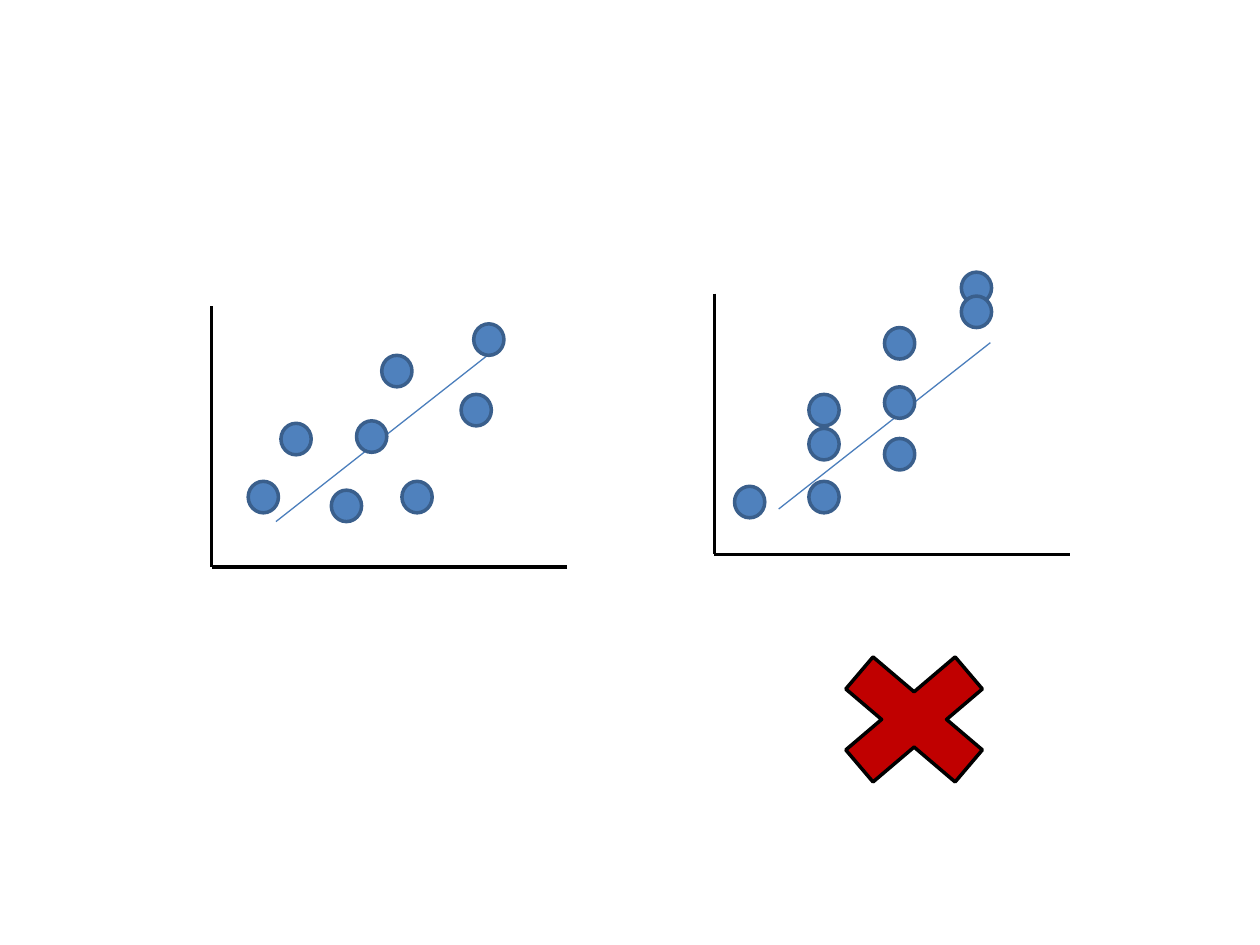
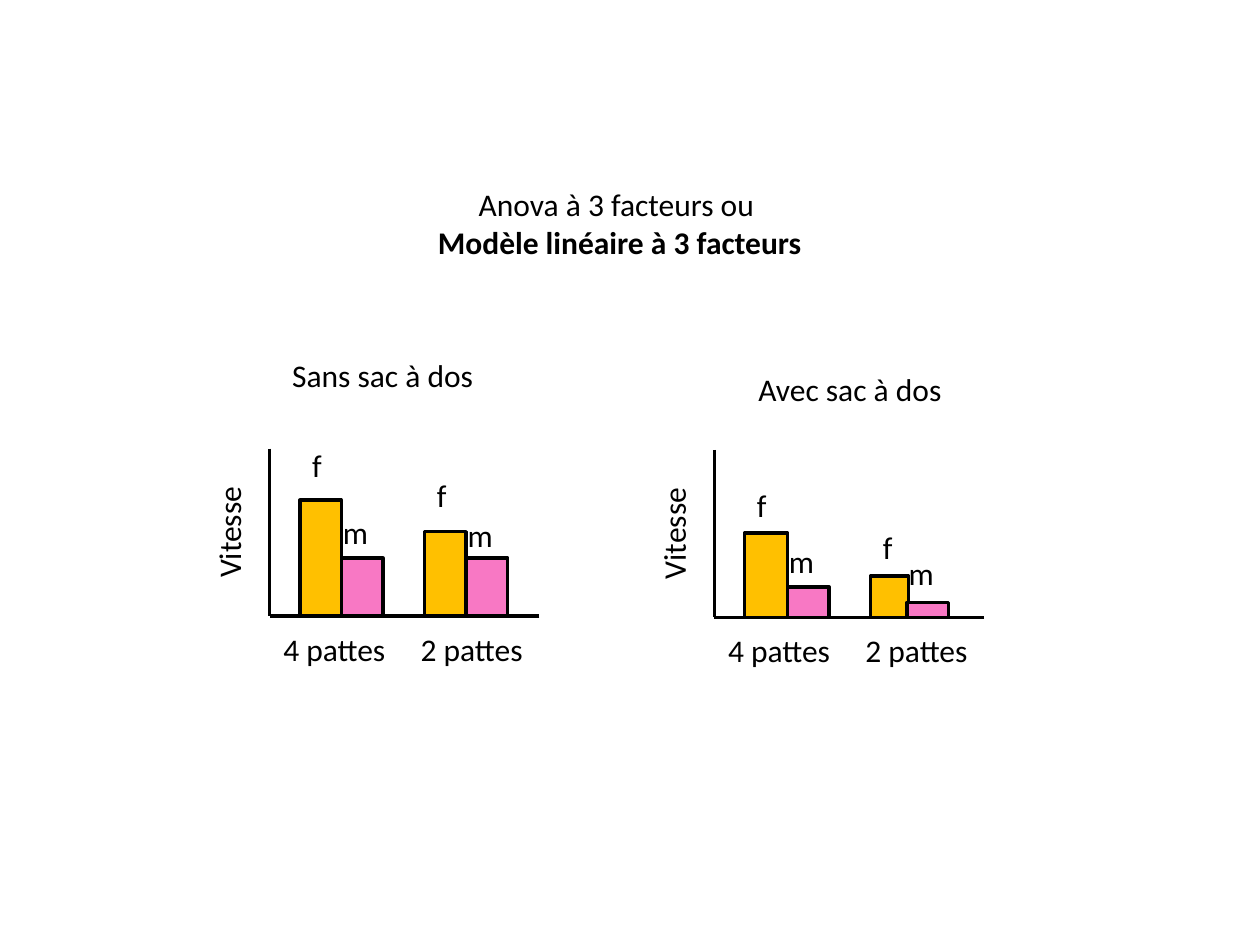
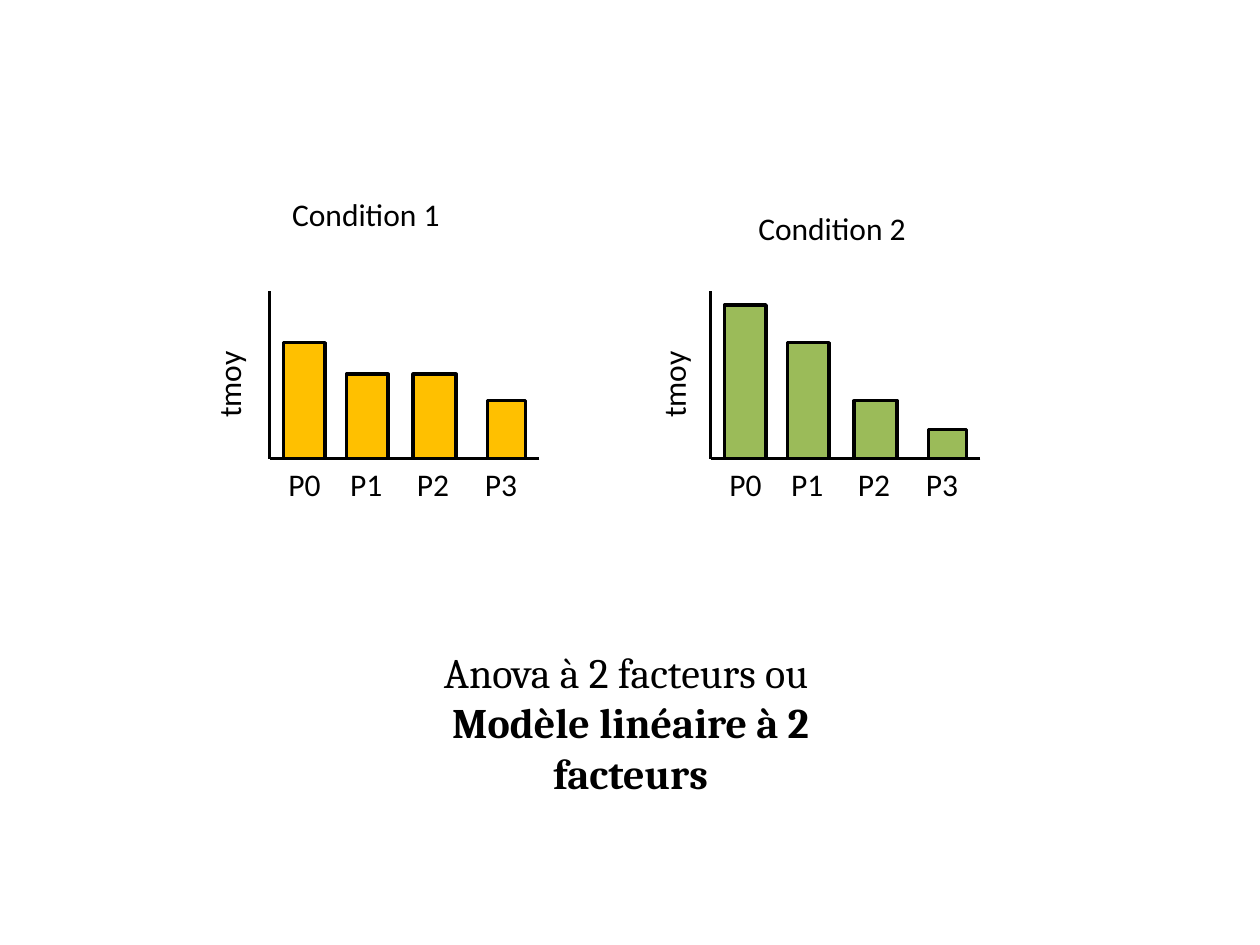
from lxml import etree
from pptx import Presentation
from pptx.dml.color import RGBColor
from pptx.enum.shapes import MSO_CONNECTOR, MSO_SHAPE
from pptx.enum.text import MSO_AUTO_SIZE, PP_ALIGN
from pptx.oxml.ns import qn
from pptx.util import Inches, Pt

BLACK = RGBColor(0x00, 0x00, 0x00)
BLUE = RGBColor(0x4F, 0x81, 0xBD)
NAVY = RGBColor(0x3A, 0x5F, 0x8C)
TREND = RGBColor(0x4B, 0x7E, 0xBC)
GOLD = RGBColor(0xFF, 0xC0, 0x00)
PINK = RGBColor(0xF8, 0x78, 0xC4)
GREEN = RGBColor(0x9B, 0xBB, 0x59)
RED = RGBColor(0xC0, 0x00, 0x00)

STRAIGHT = MSO_CONNECTOR.STRAIGHT
OVAL = MSO_SHAPE.OVAL
BAR = MSO_SHAPE.FLOWCHART_PROCESS
CROSS = MSO_SHAPE.MATH_MULTIPLY
GROW = MSO_AUTO_SIZE.SHAPE_TO_FIT_TEXT
LEFT, CENTER = PP_ALIGN.LEFT, PP_ALIGN.CENTER

# Grid of 100 columns by 75 rows
COLS, ROWS = 100, 75
ROW = 4  # height of a line of text

# Places shared by the left and right panels of the bar slides
NAMES = (9.9, 45.2)
HEADS = (22.2, 59.2)
BARS = ((1.1, 3.3), (6.1, 3.3), (11.4, 3.4), (17.3, 3))


class Deck:
    """Holds the style and the current slide; all lengths are grid units."""

    def __init__(self):
        self.prs = Presentation()
        self.prs.slide_width = Inches(10)
        self.prs.slide_height = Inches(7.5)
        self.slide = None

    def page(self):
        self.slide = self.prs.slides.add_slide(self.prs.slide_layouts[6])

    def x(self, cols):
        return round(self.prs.slide_width * cols / COLS)

    def y(self, rows):
        return round(self.prs.slide_height * rows / ROWS)

    def box(self, left, top, width, height):
        return self.x(left), self.y(top), self.x(width), self.y(height)

    def line(self, start, end, color=BLACK, size=2):
        link = self.slide.shapes.add_connector(
            STRAIGHT, self.x(start[0]), self.y(start[1]),
            self.x(end[0]), self.y(end[1]))
        link.line.color.rgb = color
        link.line.width = Pt(size)
        etree.SubElement(link._element.spPr, qn("a:effectLst"))

    def shape(self, kind, left, top, width, height, fill, edge=BLACK):
        item = self.slide.shapes.add_shape(
            kind, *self.box(left, top, width, height))
        item.shadow.inherit = False
        item.fill.solid()
        item.fill.fore_color.rgb = fill
        item.line.color.rgb = edge
        item.line.width = Pt(2)

    def text(self, words, left, top, width, height=ROW, size=18,
             font="Calibri", align=LEFT, wrap=True, turn=0, bold=(), tabs=()):
        item = self.slide.shapes.add_textbox(
            *self.box(left, top, width, height))
        item.rotation = turn
        frame = item.text_frame
        frame.word_wrap = wrap
        frame.auto_size = GROW
        frame.text = words
        for row, para in enumerate(frame.paragraphs):
            para.alignment = align
            if tabs:
                stops = etree.SubElement(
                    para._p.get_or_add_pPr(), qn("a:tabLst"))
                for stop in tabs:
                    etree.SubElement(stops, qn("a:tab"),
                                     pos=str(self.x(stop)), algn="l")
            for run in para.runs:
                run.font.name = font
                run.font.size = Pt(size)
                run.font.bold = row in bold
                run.font.color.rgb = BLACK

    def axes(self, left, base, width=21.4, height=13.3):
        self.line((left, base - height), (left, base))
        self.line((left + width, base), (left, base))

    def bar(self, left, base, width, height, fill):
        self.shape(BAR, left, base - height, width, height, fill)

    def name(self, words, left, top):
        self.text(words, left, top, 16.5, turn=270)

    def head(self, words, left, top, width):
        self.text(words, left, top, width, wrap=False)


def scatter(deck):
    deck.page()
    # Axes with trend lines
    for left, base in ((16.8, 45), (56.7, 44)):
        deck.axes(left, base, 28.2, 20.7)
        deck.line((left + 5.1, base - 3.6), (left + 21.9, base - 16.8),
                  TREND, 0.75)
    # Data points
    dots = ((22.3, 33.6), (26.3, 38.9), (28.3, 33.4), (30.3, 28.2),
            (31.9, 38.2), (36.6, 31.3), (37.6, 25.7), (19.7, 38.2),
            (64.2, 38.2), (64.2, 31.3), (64.2, 34), (58.3, 38.6),
            (70.2, 26), (70.2, 30.7), (70.2, 34.8), (76.3, 21.6),
            (76.3, 23.5))
    for left, top in dots:
        deck.shape(OVAL, left, top, 2.4, 2.5, BLUE, NAVY)
    # Reject mark
    deck.shape(CROSS, 64.2, 50, 16.7, 14.2, RED)


def speed(deck):
    deck.page()
    # Each bar: offset from axis, width, height, top of its letter
    panels = (
        ("Sans sac à dos", 27.8, 16.6, 21.4, 48.9,
         ((2.4, 3.3, 9.2, 34.9), (5.7, 3.3, 4.6, 40.2),
          (12.3, 3.3, 6.7, 37.3), (15.6, 3.3, 4.6, 40.5))),
        ("Avec sac à dos", 28.9, 16.7, 56.7, 49,
         ((2.4, 3.4, 6.7, 38.1), (5.8, 3.3, 2.4, 42.5),
          (12.4, 3, 3.3, 41.4), (15.3, 3.3, 1.2, 43.5))),
    )
    sexes = (("f", GOLD, 3), ("m", PINK, 1.1))
    for panel, side, mark in zip(panels, NAMES, HEADS):
        title, top, wide, left, base, bars = panel
        deck.axes(left, base)
        for num, (step, width, height, high) in enumerate(bars):
            sex, fill, room = sexes[num % 2]
            deck.bar(left + step, base, width, height, fill)
            deck.text(sex, left + step, high, room)
        deck.name("Vitesse", side, base - 12.3)
        deck.text("4 pattes\t2 pattes", left + 0.1, base + 0.6, 26.7,
                  tabs=(10.9,))
        deck.head(title, mark, top, wide)
    # Model used
    deck.text("Anova à 3 facteurs ou \nModèle linéaire à 3 facteurs",
              24.2, 14.2, 50, 7.1, align=CENTER, bold=(1,))


def means(deck):
    deck.page()
    base = 36.4
    panels = (
        ("Condition 1", 15, 21.4, GOLD, (9.2, 6.7, 6.7, 4.6)),
        ("Condition 2", 16.1, 56.4, GREEN, (12.2, 9.2, 4.6, 2.3)),
    )
    for panel, side, mark in zip(panels, NAMES, HEADS):
        title, top, left, fill, highs = panel
        deck.axes(left, base)
        for (step, width), height in zip(BARS, highs):
            deck.bar(left + step, base, width, height, fill)
        deck.name("tmoy", side, base - 12.5)
        deck.text("P0\tP1\tP2\tP3", left + 0.5, base, 27.2,
                  tabs=(4.9, 10.2, 15.6))
        deck.head(title, mark, top, 13.9)
    # Model used
    deck.text("Anova à 2 facteurs ou \nModèle linéaire à 2 facteurs",
              29.2, 50.8, 41.7, 9.1, size=24, font="Cambria",
              align=CENTER, bold=(1,))


def main():
    deck = Deck()
    scatter(deck)
    speed(deck)
    means(deck)
    deck.prs.save("out.pptx")


if __name__ == "__main__":
    main()
